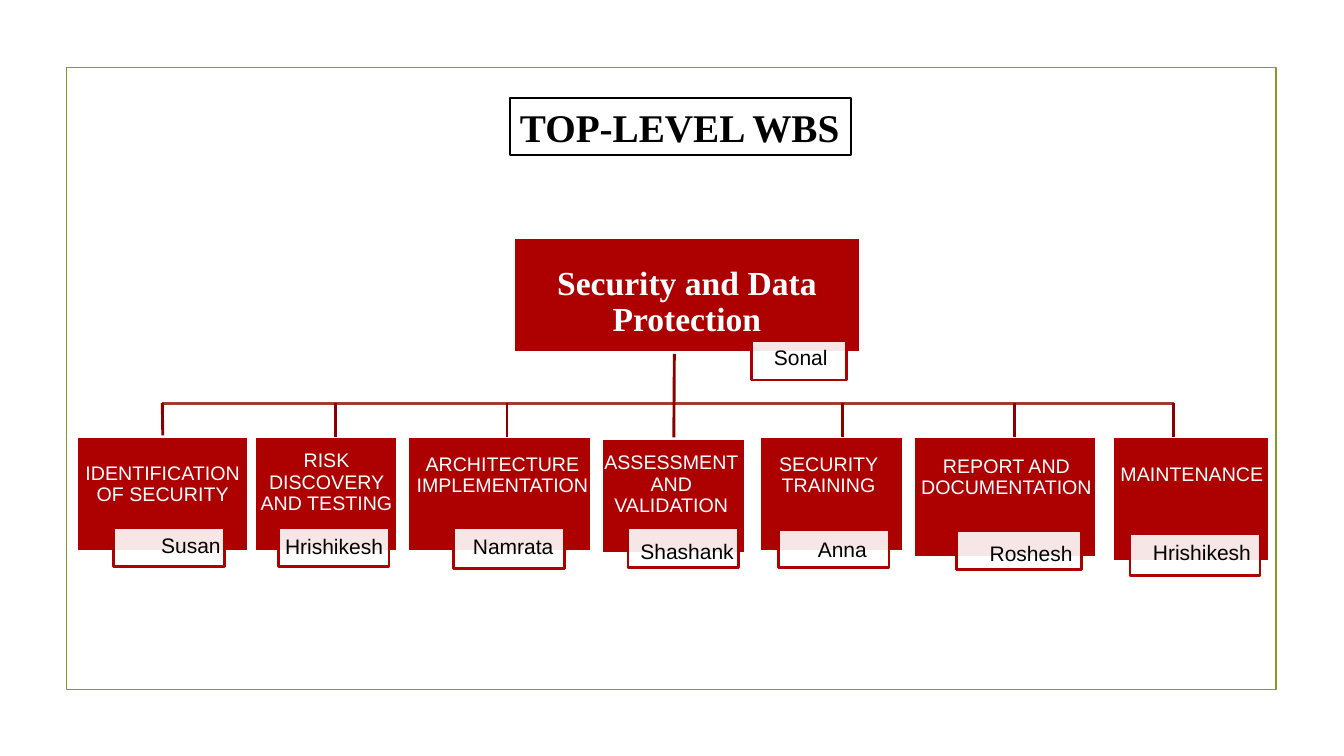
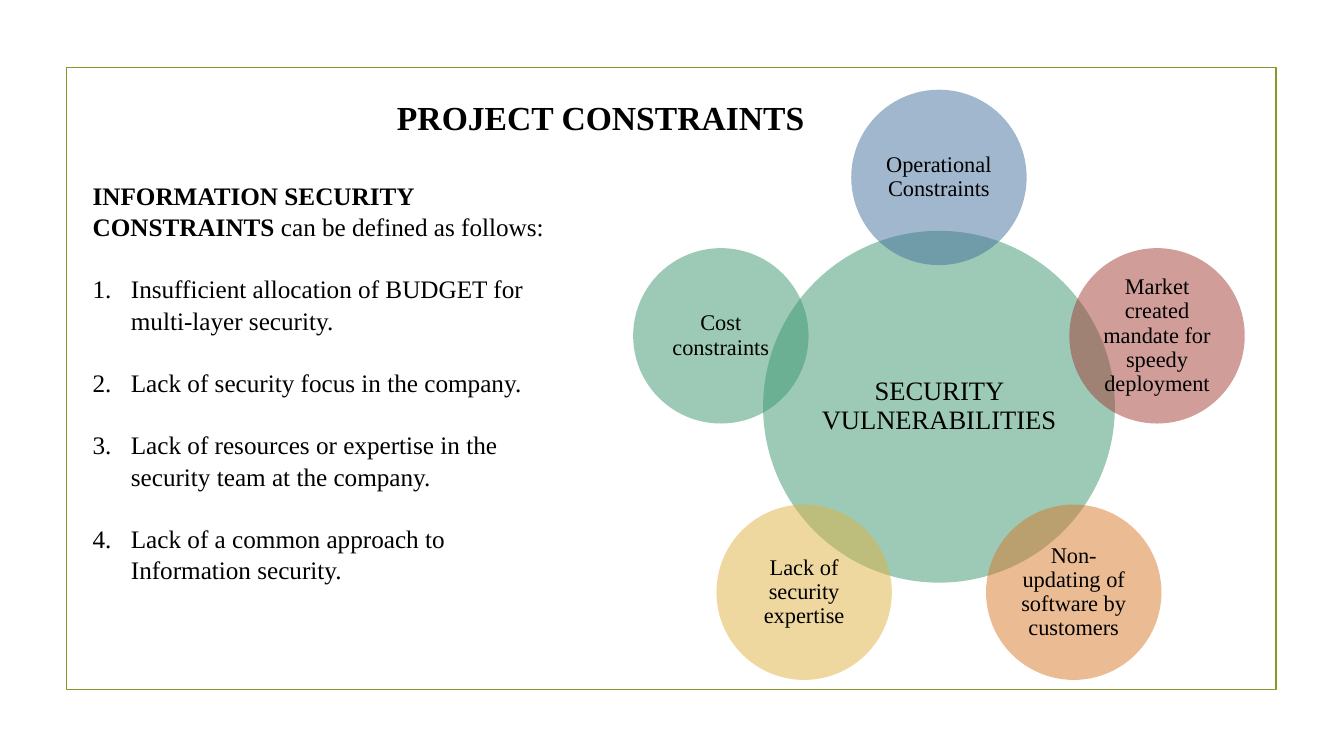
from dataclasses import dataclass
from math import cos, radians, sin
from typing import NamedTuple, Optional

from lxml import etree
from pptx import Presentation
from pptx.dml.color import RGBColor
from pptx.enum.shapes import MSO_CONNECTOR as Link, MSO_SHAPE as Preset
from pptx.enum.text import MSO_ANCHOR as Anchor, MSO_AUTO_SIZE as Fit, PP_ALIGN as Align
from pptx.oxml.ns import qn
from pptx.util import Inches, Pt

# Shared look
BLACK = RGBColor(0x00, 0x00, 0x00)
WHITE = RGBColor(0xFF, 0xFF, 0xFF)
OLIVE = RGBColor(0x83, 0x99, 0x2A)
RED = RGBColor(0xAD, 0x00, 0x00)
DARK_RED = RGBColor(0x89, 0x00, 0x00)
BRICK = RGBColor(0xA2, 0x3C, 0x33)
GREEN = RGBColor(0x3C, 0x97, 0x70)
BLUE = RGBColor(0x44, 0x70, 0x9D)
ORANGE = RGBColor(0xD9, 0x78, 0x28)
YELLOW = RGBColor(0xDE, 0xB3, 0x40)
SERIF, SANS = "Times New Roman", "Arial"

# The slide is a grid of square cells, ten to the inch
CELL = Inches(0.1)
COLUMNS, ROWS = 133.33, 75


class Area(NamedTuple):
    """Left, top, width and height in grid cells."""
    left: float
    top: float
    width: float
    height: float

    @property
    def middle(self) -> float:
        return self.left + self.width / 2


class Style(NamedTuple):
    font: str
    size: float
    color: RGBColor
    bold: bool = False
    align: Optional[Align] = Align.CENTER
    line_spacing: Optional[float] = 0.9
    space_after: float = 0


class Insets(NamedTuple):
    left: float
    top: float
    right: float
    bottom: float


@dataclass
class WorkUnit:
    label: str
    owner: str
    card: Area
    label_area: Area
    tag: Area
    owner_area: Area
    stem: Optional[float] = None  # column of the line from above
    stem_top: float = 40


@dataclass
class Constraint:
    label: str
    color: RGBColor


TITLE = Style(SERIF, 24, BLACK, True, Align.LEFT, None)
BOXED_TITLE = TITLE._replace(size=28)
LABEL = Style(SANS, 14, WHITE, space_after=4.9)
ROOT_LABEL = LABEL._replace(font=SERIF, size=24, bold=True)
OWNER = Style(SANS, 15, BLACK, align=Align.RIGHT, space_after=5.2)
HUB = Style(SERIF, 19, BLACK)
BUBBLE = HUB._replace(size=16)
BODY = Style(SERIF, 18, BLACK, align=Align.LEFT, line_spacing=1.05)

TITLE_INSETS = Insets(0.1, 0.05, 0.1, 0.05)
LABEL_INSETS = Insets(0.01, 0.01, 0.01, 0.11)
OWNER_INSETS = Insets(0.04, 0.01, 0.04, 0.01)
CIRCLE_INSETS = Insets(0.02, 0.02, 0.02, 0.02)

# Work breakdown
ROOT = WorkUnit("Security and Data Protection", "Sonal",
                Area(50.9, 23.5, 34.6, 11.6), Area(53.8, 24.7, 28.7, 11.6),
                Area(74.6, 33.8, 9.4, 3.9), Area(71.5, 33.6, 11, 3.9))
UNITS = [
    WorkUnit("IDENTIFICATION OF SECURITY", "Susan",
             Area(7.5, 43.2, 17.3, 11.6), Area(8.1, 42.8, 16.1, 11.5),
             Area(11.3, 52.3, 11, 3.9), Area(11.3, 52.3, 11, 3.9), 16.1),
    WorkUnit("RISK DISCOVERY AND TESTING", "Hrishikesh",
             Area(25.2, 43.2, 14.3, 11.6), Area(25.1, 42.6, 14.6, 11.6),
             Area(27.6, 52.3, 11, 3.9), Area(25.7, 52.4, 12.7, 3.9), 33.3),
    WorkUnit("ARCHITECTURE IMPLEMENTATION", "Namrata",
             Area(40.3, 43.2, 18.5, 11.6), Area(41.1, 41.9, 17.5, 11.6),
             Area(45, 52.3, 11, 4.1), Area(44.7, 52.4, 10.6, 3.9), 50.3),
    WorkUnit("ASSESSMENT AND VALIDATION", "Shashank",
             Area(59.6, 43.4, 14.5, 11.6), Area(59.1, 42.8, 15, 11.6),
             Area(62.3, 52.3, 11, 4), Area(62.1, 52.9, 11.1, 3.9), 66.9, 35.1),
    WorkUnit("SECURITY TRAINING", "Anna",
             Area(75.3, 43.2, 14.4, 11.6), Area(76.1, 41.9, 12.2, 11.6),
             Area(77.2, 52.5, 11, 3.8), Area(75.4, 52.4, 11, 4.4), 83.6),
    WorkUnit("REPORT AND DOCUMENTATION", "Roshesh",
             Area(90.5, 43.2, 18.4, 12.2), Area(91.2, 44, 17.3, 7.7),
             Area(94.9, 52.6, 12.4, 3.9), Area(93.4, 53, 13.4, 4), 100.6),
    WorkUnit("MAINTENANCE", "Hrishikesh",
             Area(110.3, 43.2, 15.7, 12.6), Area(110.9, 42.2, 14.7, 10.9),
             Area(112.1, 52.9, 12.9, 4.2), Area(111.1, 53.6, 13.4, 2.6), 116.4),
]
BUS_ROW, BUS_LEFT, BUS_RIGHT = 40, 16.1, 116.5

# Constraints
HUB_X, HUB_Y, HUB_SIZE = 93.15, 40.35, 34.9
BUBBLE_SIZE, RING_RADIUS = 17.4, 22.75
CONSTRAINTS = [
    Constraint("Operational Constraints", BLUE),
    Constraint("Market created mandate for speedy deployment", BRICK),
    Constraint("Non-updating of software by customers", ORANGE),
    Constraint("Lack of security expertise", YELLOW),
    Constraint("Cost constraints", GREEN),
]
CAUSES = [
    "Insufficient allocation of BUDGET for multi-layer security.",
    "Lack of security focus in the company.",
    "Lack of resources or expertise in the security team at the company.",
    "Lack of a common approach to Information security.",
]


def cells(count: float) -> int:
    return round(count * CELL)


def add_box(page, preset, area: Area, fill=None, opacity=100, line=None, weight=1.25):
    box = page.shapes.add_shape(preset, *map(cells, area))
    box.shadow.inherit = False
    if fill is None:
        box.fill.background()
    else:
        box.fill.solid()
        box.fill.fore_color.rgb = fill
        if opacity < 100:
            color = box.fill._xPr.find(f"{qn('a:solidFill')}/{qn('a:srgbClr')}")
            etree.SubElement(color, qn("a:alpha"), val=str(opacity * 1000))
    if line is None:
        box.line.fill.background()
    else:
        box.line.color.rgb = line
        box.line.width = Pt(weight)
    return box


def style_para(para, style: Style) -> None:
    para.font.name = style.font
    para.font.size = Pt(style.size)
    para.font.bold = style.bold
    para.font.color.rgb = style.color
    para.alignment = style.align
    para.line_spacing = style.line_spacing
    para.space_after = Pt(style.space_after)


def write(box, text: str, style: Style, insets: Insets, anchor=Anchor.MIDDLE, wrap=True):
    frame = box.text_frame
    frame.word_wrap = wrap
    frame.vertical_anchor = anchor
    if not wrap:
        frame.auto_size = Fit.SHAPE_TO_FIT_TEXT
    frame.margin_left, frame.margin_top, frame.margin_right, frame.margin_bottom = map(
        Inches, insets)
    para = frame.paragraphs[0]
    para.text = text
    style_para(para, style)


def add_text(page, area: Area, text: str, style: Style, insets: Insets) -> None:
    write(page.shapes.add_textbox(*map(cells, area)), text, style, insets)


def add_line(page, start, end, color: RGBColor, weight: float):
    line = page.shapes.add_connector(Link.STRAIGHT, *map(cells, (*start, *end)))
    line.line.color.rgb = color
    line.line.width = Pt(weight)
    etree.SubElement(line._element.spPr, qn("a:effectLst"))
    return line


def add_page(deck):
    page = deck.slides.add_slide(deck.slide_layouts[6])
    add_box(page, Preset.RECTANGLE, Area(6.6, 6.7, 120, 61.7), line=OLIVE)
    return page


def add_unit(page, unit: WorkUnit, label_style: Style):
    card = add_box(page, Preset.RECTANGLE, unit.card, RED, line=WHITE, weight=3.5)
    add_text(page, unit.label_area, unit.label, label_style, LABEL_INSETS)
    add_box(page, Preset.RECTANGLE, unit.tag, WHITE, 90, RED, 2.08)
    add_text(page, unit.owner_area, unit.owner, OWNER, OWNER_INSETS)
    return card


def add_circle(page, x: float, y: float, size: float, color: RGBColor, text: str, style: Style):
    area = Area(x - size / 2, y - size / 2, size, size)
    write(add_box(page, Preset.OVAL, area, color, 50), text, style, CIRCLE_INSETS)


def build_breakdown(deck) -> None:
    page = add_page(deck)
    add_unit(page, ROOT, ROOT_LABEL)
    cards = [add_unit(page, unit, LABEL) for unit in UNITS]
    title = add_box(page, Preset.RECTANGLE, Area(50.6, 9.7, 33.8, 5.7), WHITE, line=BLACK)
    write(title, "TOP-LEVEL WBS", BOXED_TITLE, TITLE_INSETS, wrap=False)

    # Bus line with a stem to each card
    add_line(page, (BUS_LEFT, BUS_ROW), (BUS_RIGHT, BUS_ROW), BRICK, 2)
    for unit, card in zip(UNITS, cards):
        stem = add_line(page, (unit.stem, unit.stem_top), (unit.stem, 43.4), DARK_RED, 2.08)
        if abs(unit.stem - unit.card.middle) < 0.1:
            stem.end_connect(card, 0)


def build_constraints(deck) -> None:
    page = add_page(deck)
    title = page.shapes.add_textbox(*map(cells, Area(38.4, 9.1, 42.7, 5)))
    write(title, "PROJECT CONSTRAINTS", TITLE, TITLE_INSETS, Anchor.TOP, wrap=False)

    # Introduction and numbered causes
    body = page.shapes.add_textbox(*map(cells, Area(8.2, 17.2, 49.1, 40.4)))
    write(body, "", BODY, TITLE_INSETS, Anchor.TOP)
    intro = body.text_frame.paragraphs[0]
    for text, bold in (("INFORMATION SECURITY CONSTRAINTS ", True),
                       ("can be defined as follows:", False)):
        span = intro.add_run()
        span.text = text
        span.font.name, span.font.size, span.font.bold = BODY.font, Pt(BODY.size), bold
        span.font.color.rgb = BODY.color
    for cause in CAUSES:
        para = body.text_frame.add_paragraph()
        para.text = cause
        style_para(para, BODY)
        para.space_before = Pt(21.6)
        props = para._p.get_or_add_pPr()
        props.set("marL", str(Inches(0.38)))
        props.set("indent", str(-Inches(0.38)))
        number = etree.Element(qn("a:buAutoNum"), type="arabicPeriod")
        props.find(qn("a:defRPr")).addprevious(number) if props.find(
            qn("a:defRPr")) is not None else props.append(number)

    # Hub with a ring of bubbles, clockwise from the top
    add_circle(page, HUB_X, HUB_Y, HUB_SIZE, GREEN, "SECURITY VULNERABILITIES", HUB)
    for index, item in enumerate(CONSTRAINTS):
        angle = radians(index * 360 / len(CONSTRAINTS) - 90)
        add_circle(page, HUB_X + RING_RADIUS * cos(angle), HUB_Y + RING_RADIUS * sin(angle),
                   BUBBLE_SIZE, item.color, item.label, BUBBLE)


def main() -> None:
    deck = Presentation()
    deck.slide_width, deck.slide_height = cells(COLUMNS), cells(ROWS)
    build_breakdown(deck)
    build_constraints(deck)
    deck.save("out.pptx")


if __name__ == "__main__":
    main()
